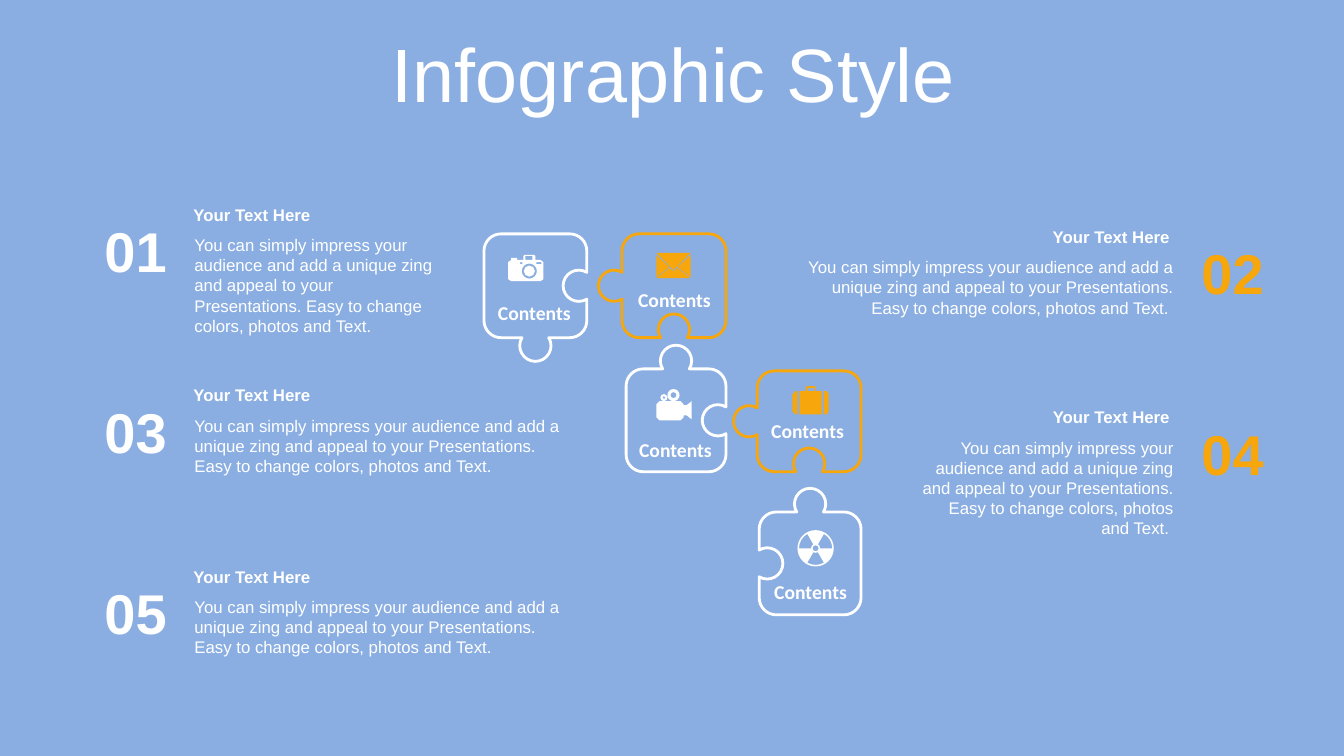
from math import asin, cos, degrees, radians, sin, tan

from lxml.etree import SubElement
from pptx import Presentation
from pptx.dml.color import RGBColor
from pptx.enum.text import MSO_ANCHOR, PP_ALIGN
from pptx.oxml.ns import qn
from pptx.util import Pt

PX = 9144
SKY = RGBColor(0x8A, 0xAE, 0xE2)
WHITE = RGBColor(0xFF, 0xFF, 0xFF)
ORANGE = RGBColor(0xF7, 0xA6, 0x0B)
CORNER, KNOB, KNOB_SHIFT = 17, 15.5, 8
HEADING = "Your Text Here"
BODY = ("You can simply impress your audience and add a unique zing and appeal "
        "to your Presentations. Easy to change colors, photos and Text.")


def arc(cx, cy, radius, start=0, end=360, u=(1, 0), v=(0, 1), steps=4):
    """Return a start point and Bezier triples for an arc with axes u and v, in degrees."""
    def place(along, across):
        return (cx + radius * (along * u[0] + across * v[0]),
                cy + radius * (along * u[1] + across * v[1]))

    turn = radians(end - start) / steps
    pull = 4 / 3 * tan(turn / 4)
    angle = radians(start)
    items = [place(cos(angle), sin(angle))]
    for _ in range(steps):
        after = angle + turn
        items.append((place(cos(angle) - pull * sin(angle), sin(angle) + pull * cos(angle)),
                      place(cos(after) + pull * sin(after), sin(after) - pull * cos(after)),
                      place(cos(after), sin(after))))
        angle = after
    return items


def rect(left, top, width, height):
    """Return the corners of a rectangle."""
    return [(left, top), (left + width, top),
            (left + width, top + height), (left, top + height)]


def puzzle_outline(width, height, sides):
    """Return a clockwise outline; sides (top, right, bottom, left) are 1 out, -1 in, 0 flat."""
    tilt = degrees(asin(KNOB_SHIFT / KNOB))
    items = []
    u, n = (1, 0), (0, -1)
    for knob in sides:
        half_u = (width if u[0] else height) / 2
        half_n = (height if u[0] else width) / 2
        if knob:
            reach = half_n + knob * KNOB_SHIFT
            items += arc(width / 2 + reach * n[0], height / 2 + reach * n[1], KNOB,
                         180 + tilt, -tilt, u, (knob * n[0], knob * n[1]))
        along, out = half_u - CORNER, half_n - CORNER
        items += arc(width / 2 + along * u[0] + out * n[0],
                     height / 2 + along * u[1] + out * n[1],
                     CORNER, 0, 90, n, u, 1)
        u, n = (-n[0], -n[1]), u
    return items


def envelope():
    """Return the contours of an envelope icon."""
    return [[(21, 15), (34, 25), (0, 25), (13, 15), (17, 18)],
            [(34, 2), (34, 24), (21, 14)],
            [(0, 2), (13, 14), (0, 24)],
            [(0, 0), (34, 0), (17, 17)]]


def photo_camera():
    """Return the contours of a photo camera icon."""
    case = [(16, 0), (26, 0), (27, 1), (27, 5), (32, 5), (35, 7), (35, 24), (32, 26),
            (3, 26), (0, 24), (0, 7), (3, 5), (3, 3), (9, 3), (9, 5), (15, 5), (15, 1)]
    return [case, rect(17, 1, 7, 4), rect(12, 7, 2, 2), rect(28, 7, 5, 2),
            arc(21, 16, 7.5), arc(21, 16, 5.5)]


def film_camera():
    """Return the contours of a film camera icon."""
    case = [(3, 12), (24, 12), (27, 15), (27, 16), (30, 16), (35, 12), (35, 30),
            (30, 26), (27, 26), (27, 28), (24, 31), (3, 31), (0, 28), (0, 15)]
    return [case, arc(17, 6, 6), arc(17, 6, 3), arc(7.5, 8.5, 3.5), arc(7.5, 8.5, 1.5)]


def suitcase():
    """Return the contours of a suitcase icon."""
    return [[(31, 5), (34, 5), (36, 8), (36, 25), (34, 28), (31, 28)],
            [(3, 5), (5, 5), (5, 28), (3, 28), (0, 25), (0, 8)],
            [(15, 0), (22, 0), (23, 1), (23, 5), (29, 5), (29, 28),
             (7, 28), (7, 5), (13, 5), (13, 1)],
            rect(15, 2, 7, 3)]


def radiation():
    """Return the contours of a radiation icon."""
    blades = [arc(18, 18, 16.5, start, start + 60, steps=1)
              + arc(18, 18, 4.5, start + 60, start, steps=1) for start in (60, 180, 300)]
    return [arc(18, 18, 18), arc(18, 18, 3)] + blades


def draw(slide, left, top, contours):
    """Draw closed contours of points and Bezier triples as one freeform."""
    items = [item if len(item) == 3 else (item,) for contour in contours for item in contour]
    ends = [(item[-1][0] * PX, item[-1][1] * PX) for item in items]
    builder = slide.shapes.build_freeform(*ends[0], scale=1.0)
    first = 0
    for contour in contours:
        last = first + len(contour)
        if first:
            builder.move_to(*ends[first])
        builder.add_line_segments(ends[first + 1:last], close=True)
        first = last
    freeform = builder.convert_to_shape(left * PX, top * PX)
    freeform.shadow.inherit = False
    min_x, min_y = (min(values) for values in zip(*ends))
    nodes = list(freeform.element.iter(qn("a:moveTo"), qn("a:lnTo")))
    for node, item in zip(nodes, items):
        if len(item) == 3:
            curve = SubElement(node.getparent(), qn("a:cubicBezTo"))
            for x, y in item:
                SubElement(curve, qn("a:pt"), x=str(round(x * PX - min_x)),
                           y=str(round(y * PX - min_y)))
            node.getparent().replace(node, curve)
    return freeform


def write(frame, text, size, color, align, font="Arial", bold=False):
    """Put one formatted paragraph in a text frame."""
    frame.word_wrap = True
    frame.text = text
    paragraph = frame.paragraphs[0]
    paragraph.alignment = align
    for run in paragraph.runs:
        run.font.name = font
        run.font.size = Pt(size)
        run.font.bold = bold
        run.font.color.rgb = color
    return paragraph


def add_text(slide, box, *style, **options):
    """Add a text box at a px box."""
    write(slide.shapes.add_textbox(*(v * PX for v in box)).text_frame, *style, **options)


def add_title(slide, box):
    """Place and format the slide title."""
    title = slide.shapes.title
    title.left, title.top, title.width, title.height = (v * PX for v in box)
    title.text_frame.vertical_anchor = MSO_ANCHOR.MIDDLE
    paragraph = write(title.text_frame, "Infographic Style", 54, WHITE, PP_ALIGN.CENTER)
    paragraph.line_spacing = 0.9


def add_piece(slide, box, sides, color, icon, icon_offset, label_offset):
    """Draw a puzzle piece with its icon and label."""
    left, top, width, height = box
    piece = draw(slide, left, top, [puzzle_outline(width, height, sides)])
    piece.fill.background()
    piece.line.color.rgb = color
    piece.line.width = Pt(2)
    symbol = draw(slide, left + icon_offset[0], top + icon_offset[1], icon())
    symbol.fill.solid()
    symbol.fill.fore_color.rgb = color
    symbol.line.fill.background()
    add_text(slide, (left + label_offset[0], top + label_offset[1], 104, 34), "Contents",
             14, WHITE, PP_ALIGN.CENTER, font="Calibri", bold=True)


def add_item(slide, box, number, color, on_right=False):
    """Write a numbered item, with the number on its outer side."""
    left, top, width, height = box
    align = PP_ALIGN.RIGHT if on_right else PP_ALIGN.LEFT
    number_left = left + width - 83 if on_right else left
    body_left = left if on_right else left + 90
    heading_left = body_left - 4 if on_right else body_left - 1
    body_width = width - 90
    body = BODY + " " if on_right else BODY
    add_text(slide, (number_left, top + 12, 83, 77), number, 40, color,
             PP_ALIGN.CENTER, bold=True)
    add_text(slide, (heading_left, top, body_width, 30), HEADING, 12, WHITE, align, bold=True)
    add_text(slide, (body_left, top + 30, body_width, height - 30), body, 12, WHITE, align)


def main():
    """Build the slide."""
    deck = Presentation()
    deck.slide_width, deck.slide_height = 1333 * PX, 750 * PX
    slide = deck.slides.add_slide(deck.slide_layouts[5])
    slide.background.fill.solid()
    slide.background.fill.fore_color.rgb = SKY
    add_title(slide, (35, 31, 1266, 92))

    for piece in (
        ((480, 232, 102, 103), (0, -1, 1, 0), WHITE, photo_camera, (24, 21), (-2, 62)),
        ((617, 232, 103, 103), (0, 0, -1, 1), ORANGE, envelope, (34, 19), (0, 49)),
        ((621, 366, 99, 102), (1, -1, 0, 0), WHITE, film_camera, (30, 20), (-3, 64)),
        ((751, 368, 103, 100), (0, 0, -1, 1), ORANGE, suitcase, (35, 15), (-2, 43)),
        ((753, 508, 101, 102), (1, 0, 0, -1), WHITE, radiation, (38, 18), (-1, 62)),
    ):
        add_piece(slide, *piece)

    for item in (
        ((93, 198, 353, 141), "01", WHITE),
        ((778, 220, 486, 101), "02", ORANGE, True),
        ((93, 377, 488, 102), "03", WHITE),
        ((905, 399, 359, 142), "04", ORANGE, True),
        ((93, 557, 488, 101), "05", WHITE),
    ):
        add_item(slide, *item)
    deck.save("out.pptx")


if __name__ == "__main__":
    main()
